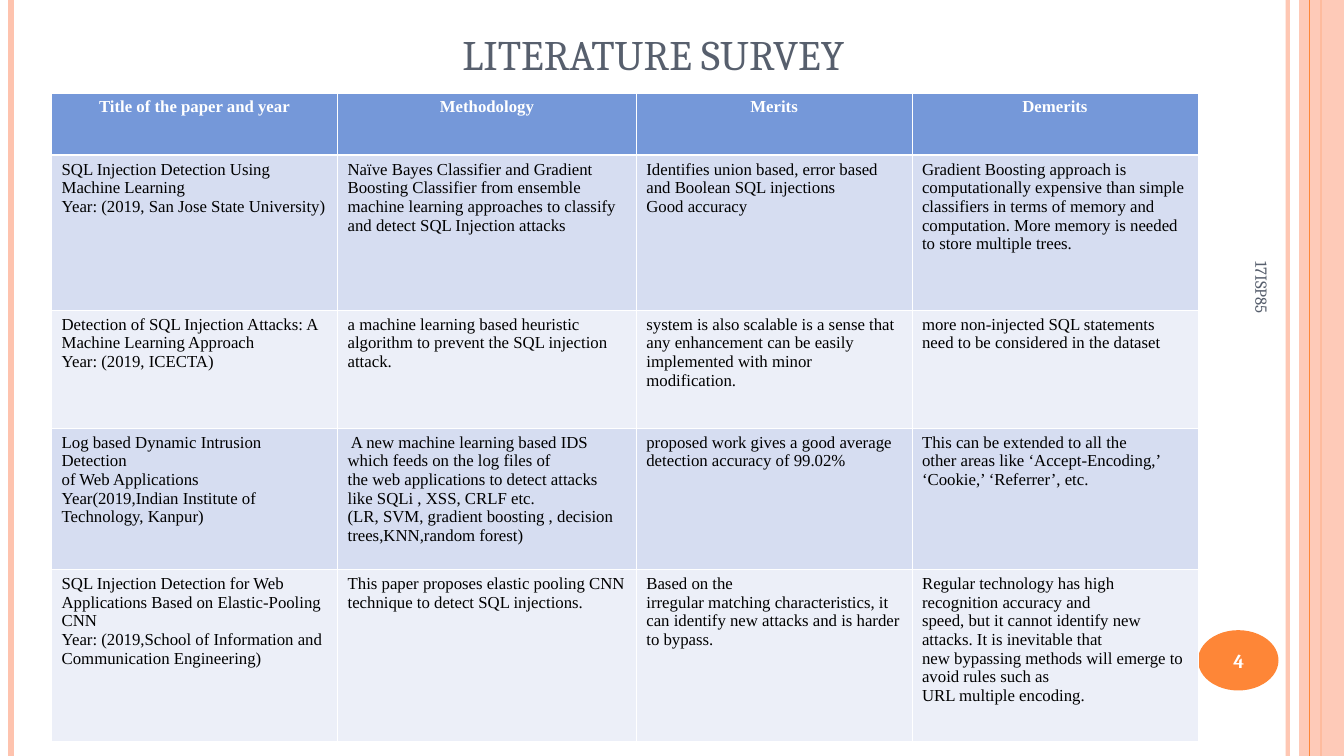
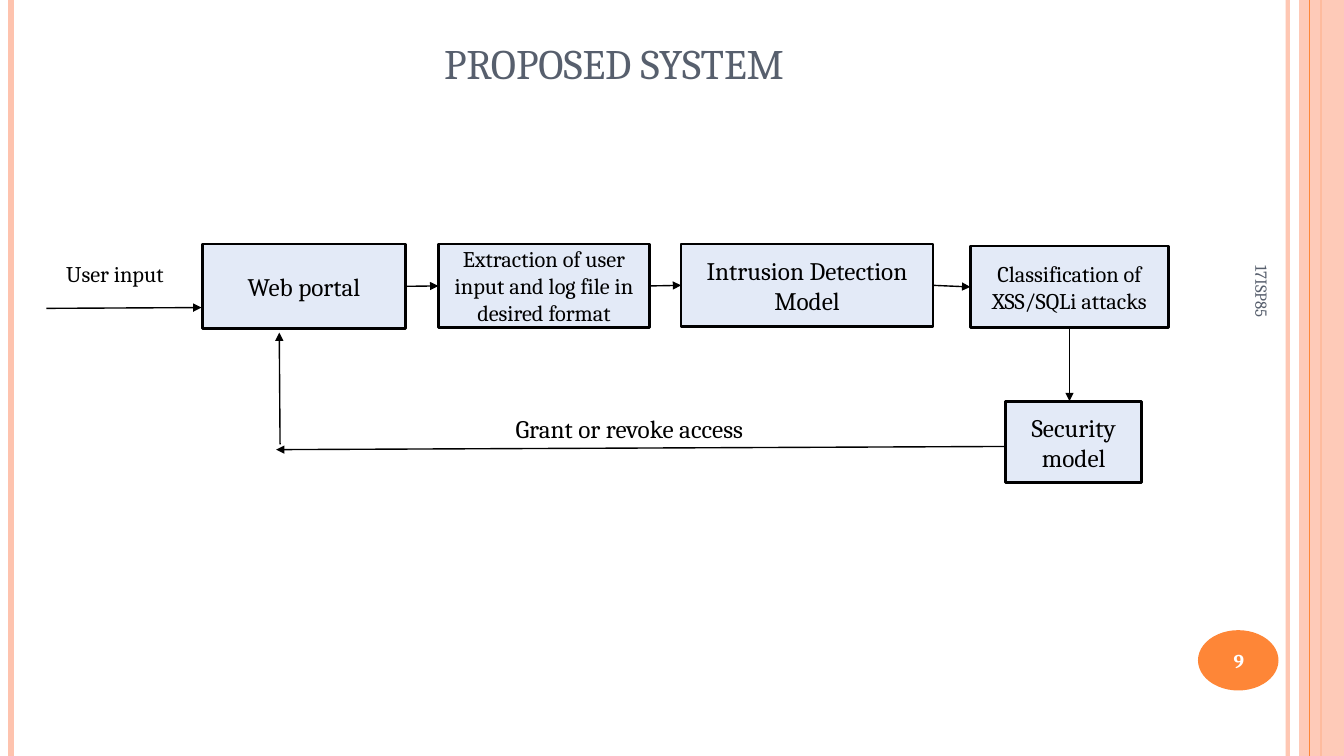
import pptx
import pptx.util
import pptx.dml.color
import pptx.enum.shapes
import pptx.enum.text
import pptx.oxml
import pptx.oxml.ns
from pptx.util import Cm
from dataclasses import dataclass

SLIDE_WIDTH, SLIDE_HEIGHT = 33.88, 19.05
ORANGE, PEACH, SLATE = "FE8637", "FEC3AE", "575F6D"
WHITE, BLACK = "FFFFFF", "000000"
HEADER_BLUE, BAND_BLUES, BOX_BLUE = "7598D9", ("D6DDF1", "ECEFF8"), "E3EAF7"
ALIGN = pptx.enum.text.PP_ALIGN
ANCHOR = pptx.enum.text.MSO_ANCHOR
SHAPE = pptx.enum.shapes.MSO_SHAPE

TITLE_STYLE = {"name": "Cambria", "size": 30, "color": SLATE}
FOOTER_STYLE = {"name": "Cambria", "size": 12, "color": SLATE}
NUMBER_STYLE = {"name": "Cambria", "size": 14, "color": WHITE, "bold": True}
CELL_STYLE = {"name": "Times New Roman", "size": 12, "color": BLACK, "bold": False}
HEADER_STYLE = {**CELL_STYLE, "color": WHITE, "bold": True}
SMALL_STYLE = {"name": "Cambria", "size": 16, "color": BLACK}
LARGE_STYLE = {**SMALL_STYLE, "size": 18}


@dataclass
class Box:
    left: float
    top: float
    width: float
    height: float

    def inner(self, left, top, width, height):
        return Box(self.left + left, self.top + top, width, height)

    def point(self, x, y):
        return Cm(self.left + x), Cm(self.top + y)

    def lengths(self):
        return [Cm(value) for value in (self.left, self.top, self.width, self.height)]


PAGE = Box(0, 0, SLIDE_WIDTH, SLIDE_HEIGHT)

SURVEY = [
    ["Title of the paper and year", "Methodology", "Merits", "Demerits"],
    ["SQL Injection Detection Using Machine Learning\nYear: (2019, San Jose State University)",
     "Naïve Bayes Classifier and Gradient Boosting Classifier from ensemble machine learning "
     "approaches to classify and detect SQL Injection attacks",
     "Identifies union based, error based and Boolean SQL injections\nGood accuracy",
     "Gradient Boosting approach is computationally expensive than simple classifiers in terms "
     "of memory and computation. More memory is needed to store multiple trees."],
    ["Detection of SQL Injection Attacks: A Machine Learning Approach\nYear: (2019, ICECTA)",
     "a machine learning based heuristic algorithm to prevent the SQL injection attack.",
     "system is also scalable is a sense that any enhancement can be easily implemented with "
     "minor modification.",
     "more non-injected SQL statements need to be considered in the dataset"],
    ["Log based Dynamic Intrusion Detection\nof Web Applications\n"
     "Year(2019,Indian Institute of Technology, Kanpur)",
     " A new machine learning based IDS which feeds on the log files of\n"
     "the web applications to detect attacks like SQLi , XSS, CRLF etc.\n"
     "(LR, SVM, gradient boosting , decision trees,KNN,random forest)",
     "proposed work gives a good average detection accuracy of 99.02%",
     "This can be extended to all the\n"
     "other areas like ‘Accept-Encoding,’ ‘Cookie,’ ‘Referrer’, etc."],
    ["SQL Injection Detection for Web Applications Based on Elastic-Pooling CNN\n"
     "Year: (2019,School of Information and Communication Engineering)",
     "This paper proposes elastic pooling CNN technique to detect SQL injections.",
     "Based on the\virregular matching characteristics, it can identify new attacks and is "
     "harder to bypass.",
     "Regular technology has high recognition accuracy and\n"
     "speed, but it cannot identify new attacks. It is inevitable that\n"
     "new bypassing methods will emerge to avoid rules such as\nURL multiple encoding."],
]


def color(value):
    return pptx.dml.color.RGBColor.from_string(value)


def apply_format(target, values):
    for name, value in values.items():
        setattr(target, name, value)


def write_text(text_frame, text, style, alignment=ALIGN.LEFT, anchor=ANCHOR.TOP):
    text_frame.text = text
    text_frame.word_wrap = True
    text_frame.vertical_anchor = anchor
    font_values = {name: value for name, value in style.items() if name != "color"}
    font_values["size"] = pptx.util.Pt(style["size"])
    for paragraph in text_frame.paragraphs:
        paragraph.alignment = alignment
        for run in paragraph.runs:
            apply_format(run.font, font_values)
            run.font.color.rgb = color(style["color"])


def add_element(parent, tag, **attributes):
    element = pptx.oxml.parse_xml(f"<a:{tag} {pptx.oxml.ns.nsdecls('a')}/>")
    for name, value in attributes.items():
        element.set(name, str(value))
    parent.append(element)
    return element


def set_opacity(element, percent):
    for fill_color in element.xpath("./a:solidFill/a:srgbClr"):
        add_element(fill_color, "alpha", val=percent * 1000)


def add_text(slide, box, text, style, **placement):
    shape = slide.shapes.add_textbox(*box.lengths())
    write_text(shape.text_frame, text, style, **placement)
    return shape


def add_filled_shape(slide, kind, box, fill):
    shape = slide.shapes.add_shape(kind, *box.lengths())
    shape.shadow.inherit = False
    shape.fill.solid()
    shape.fill.fore_color.rgb = color(fill)
    shape.line.fill.background()
    return shape


def add_line(slide, start, end, line_color, width):
    connector = slide.shapes.add_connector(
        pptx.enum.shapes.MSO_CONNECTOR.STRAIGHT, *start, *end)
    connector.line.color.rgb = color(line_color)
    connector.line.width = pptx.util.Pt(width)
    add_element(connector.element.spPr, "effectLst")
    return connector


def add_arrow(slide, start, end):
    connector = add_line(slide, start, end, BLACK, 1)
    add_element(connector.line._get_or_add_ln(), "tailEnd", type="triangle")
    return connector


def decorate_layout(layout, slide, box):
    for placeholder in list(layout.placeholders):
        if placeholder.placeholder_format.idx != 0:
            placeholder.element.getparent().remove(placeholder.element)

    def rule(x, line_color, width):
        return add_line(slide, box.point(x, 0), box.point(x, box.height), line_color, width)

    inner_rule = rule(32.46, PEACH, 3)
    set_opacity(inner_rule.line._get_or_add_ln(), 93)
    left_rule = rule(0.28, PEACH, 4.5)
    orange_rule = rule(33.29, ORANGE, 1.5)
    band = add_filled_shape(slide, SHAPE.RECTANGLE, box.inner(32.75, 0, 1.13, box.height), PEACH)
    set_opacity(band.element.spPr, 87)
    thin_rule = rule(33.02, ORANGE, 0.75)
    badge = add_filled_shape(slide, SHAPE.OVAL, box.inner(30.2, 15.88, 2.03, 1.52), ORANGE)
    for shape in (inner_rule, left_rule, orange_rule, band, thin_rule, badge):
        layout.shapes.element.append(shape.element)


def fill_frame(slide, title, title_box, number, footer_top):
    title_shape = slide.shapes.title
    apply_format(title_shape, dict(zip(("left", "top", "width", "height"), title_box.lengths())))
    write_text(title_shape.text_frame, title, TITLE_STYLE, ALIGN.CENTER, ANCHOR.BOTTOM)
    add_text(slide, PAGE.inner(30.1, 15.93, 2.26, 1.45), number, NUMBER_STYLE,
             alignment=ALIGN.CENTER, anchor=ANCHOR.MIDDLE)
    footer = add_text(slide, PAGE.inner(27.37, footer_top, 8.89, 1.35), "17ISP85", FOOTER_STYLE,
                      anchor=ANCHOR.MIDDLE)
    footer.rotation = 90


def format_cell(cell, row, text):
    properties = cell._tc.get_or_add_tcPr()
    for side in "LRTB":
        heavy = (row, side) in ((0, "B"), (1, "T"))
        border = add_element(properties, f"ln{side}",
                             w=pptx.util.Pt(1.47 if heavy else 0.45))
        add_element(add_element(border, "solidFill"), "srgbClr", val=WHITE)
    cell.fill.solid()
    cell.fill.fore_color.rgb = color(BAND_BLUES[(row - 1) % 2] if row else HEADER_BLUE)
    style, alignment = (CELL_STYLE, ALIGN.LEFT) if row else (HEADER_STYLE, ALIGN.CENTER)
    write_text(cell.text_frame, text, style, alignment)


def add_survey_table(slide, box):
    table = slide.shapes.add_table(len(SURVEY), len(SURVEY[0]), *box.lengths()).table
    for column, width in zip(table.columns, (7.21, 7.53, 6.95, 7.21)):
        column.width = Cm(width)
    for row, height in zip(table.rows, (1.57, 3.91, 2.97, 3.56, 4.32)):
        row.height = Cm(height)
    for row, texts in enumerate(SURVEY):
        for column, text in enumerate(texts):
            format_cell(table.cell(row, column), row, text)


def add_flow(slide, box):
    def step(text, style, *place):
        shape = add_filled_shape(slide, SHAPE.RECTANGLE, box.inner(*place), BOX_BLUE)
        shape.line.color.rgb = color(BLACK)
        shape.line.width = pptx.util.Pt(2)
        write_text(shape.text_frame, text, style, ALIGN.CENTER, ANCHOR.MIDDLE)
        return shape

    stages = [
        step("Web portal", LARGE_STYLE, 3.94, 0, 5.11, 2.13),
        step("Extraction of user input and log file in desired format",
             SMALL_STYLE, 9.88, 0, 5.33, 2.11),
        step("Intrusion Detection Model", LARGE_STYLE, 16, 0, 6.35, 2.08),
        step("Classification of XSS/SQLi attacks", SMALL_STYLE, 23.29, 0.05, 5, 2.06),
    ]
    security = step("Security model", LARGE_STYLE, 24.18, 3.96, 3.43, 2.06)
    origin = box.point(0, 0)
    for source, target in zip(stages, stages[1:]):
        connector = add_arrow(slide, origin, origin)
        connector.begin_connect(source, 3)
        connector.end_connect(target, 1)

    classification = stages[-1]
    center = classification.left + classification.width // 2
    to_security = add_arrow(slide, (center, classification.top + classification.height),
                            (center, security.top))
    to_security.begin_connect(classification, 2)
    for start, end in (((0, 1.62), (3.91, 1.6)),
                       ((24.18, 5.1), (5.79, 5.18)),
                       ((5.89, 5.05), (5.87, 2.23))):
        add_arrow(slide, box.point(*start), box.point(*end))
    add_text(slide, box.inner(0.25, 0.28, 3.89, 0.94), "User input", SMALL_STYLE)
    add_text(slide, box.inner(11.58, 4.14, 7.32, 1.02), "Grant or revoke access", LARGE_STYLE)


def build_survey_slide(slide):
    fill_frame(slide, "LITERATURE SURVEY", PAGE.inner(2.64, 0, 27.66, 2.11), "4", 10.11)
    add_survey_table(slide, PAGE.inner(1.3, 2.34, 28.9, 16.33))


def build_system_slide(slide):
    fill_frame(slide, "PROPOSED SYSTEM", PAGE.inner(1.65, 0, 27.66, 2.34), "9", 10.21)
    add_flow(slide, PAGE.inner(1.17, 6.15, 28.3, 6.02))


def main():
    presentation = pptx.Presentation()
    presentation.slide_width = Cm(SLIDE_WIDTH)
    presentation.slide_height = Cm(SLIDE_HEIGHT)
    layout = presentation.slide_layouts[5]
    slides = [presentation.slides.add_slide(layout) for _ in range(2)]
    decorate_layout(layout, slides[0], PAGE)
    build_survey_slide(slides[0])
    build_system_slide(slides[1])
    presentation.save("out.pptx")


if __name__ == "__main__":
    main()
